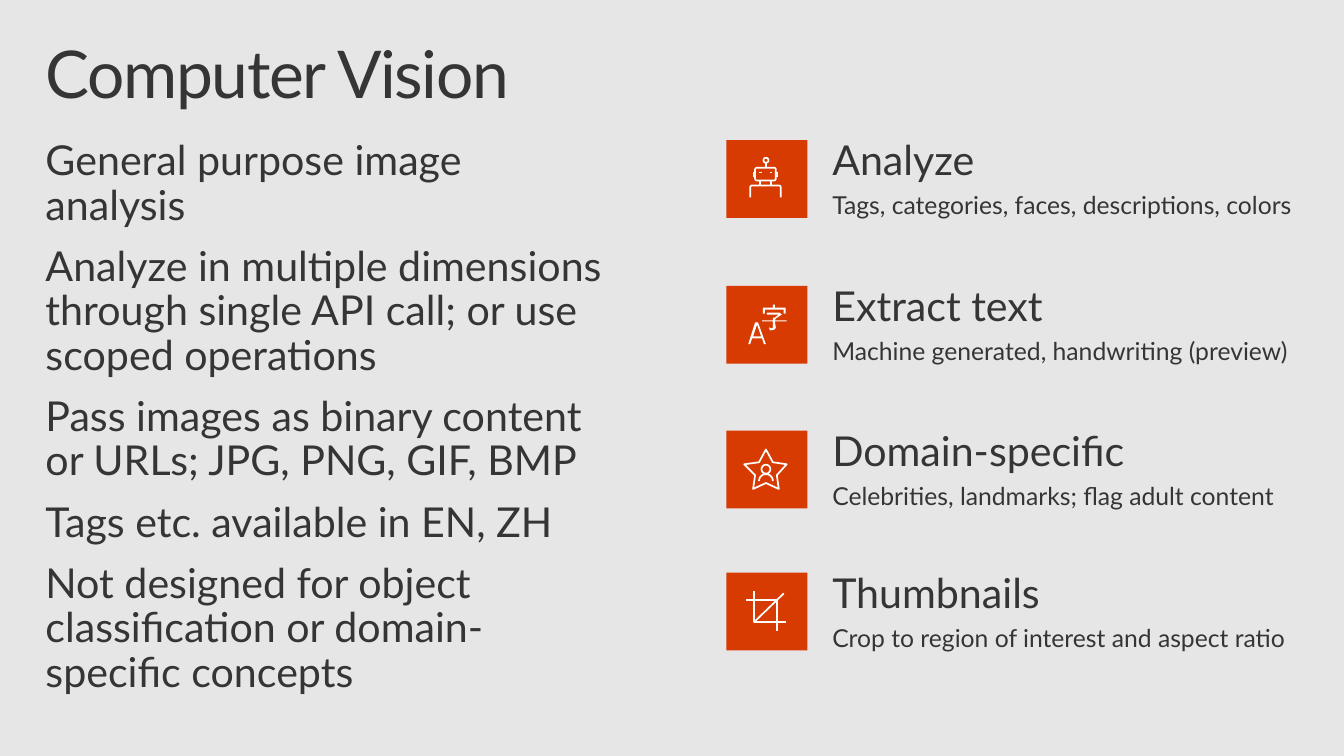
import math

import pptx
import pptx.dml.color
import pptx.enum.shapes
import pptx.util

Cm = pptx.util.Cm
Pt = pptx.util.Pt

INK = "353535"
ORANGE = "D83B01"
WHITE = "FFFFFF"
PAPER = "E6E6E6"

POINTS = [
    "General purpose image analysis",
    "Analyze in multiple dimensions through single API call; or use scoped operations",
    "Pass images as binary content or URLs; JPG, PNG, GIF, BMP",
    "Tags etc. available in EN, ZH",
    "Not designed for object classification or domain-specific concepts",
]


def color(value):
    return pptx.dml.color.RGBColor.from_string(value)


def arc(x, y, radius, start=0, end=360):
    """Points along an arc, with angles in degrees."""
    steps = 24
    angles = [math.radians(start + (end - start) * i / steps) for i in range(steps + 1)]
    return [(x + radius * math.cos(a), y + radius * math.sin(a)) for a in angles]


# Icon outlines, in hundredths of an inch from the corner of the tile.
ROBOT = [
    arc(40, 20.5, 2.5),
    arc(48, 30, 2, -90, 0) + arc(48, 39, 2, 0, 90)
    + arc(31, 39, 2, 90, 180) + arc(31, 30, 2, 180, 270) + [(48, 28)],
    [(24, 58)] + arc(26, 48, 2, 180, 270) + arc(53, 48, 2, -90, 0) + [(55, 58)],
    [(34, 41), (34, 46)],
    [(40, 23), (40, 28)],
    [(45, 41), (45, 46)],
    [(33, 33), (36, 33)],
    [(44, 33), (46, 33)],
    [(28, 32), (28, 37)],
    [(51, 32), (51, 37)],
]
LETTERS = [
    [(29, 37), (22, 59), (24, 59), (26, 53), (36, 53), (38, 59), (40, 59), (32, 37), (29, 37)],
    [(27, 51), (31, 39), (35, 51), (27, 51)],
    [(37, 28), (37, 22), (47, 22), (47, 19), (49, 19), (49, 22), (60, 22), (60, 28),
     (58, 28), (58, 24), (39, 24), (39, 28), (37, 28)],
    [(49, 36), (50, 42), (49, 44), (45, 45), (44, 45), (43, 42), (46, 43), (47, 42),
     (47, 36), (36, 36), (36, 35), (47, 35), (47, 32), (49, 32), (53, 29), (41, 29),
     (41, 27), (54, 27), (56, 29), (50, 33), (49, 35), (61, 35), (61, 36), (49, 36)],
]
STAR = [
    [(33, 32), (40, 19), (47, 32), (61, 34), (51, 45), (53, 59),
     (40, 53), (27, 59), (29, 45), (18, 34), (33, 32)],
    arc(40, 39, 4.5),
    arc(40, 51, 7, 180, 360),
]
CROP = [
    [(60, 50), (28, 50), (28, 19)],
    [(58, 21), (28, 50)],
    [(20, 28), (51, 28)],
    [(51, 59), (51, 28)],
]

# Top in centimetres, heading, detail, icon outlines, icon is filled
FEATURES = [
    (3.35, "Analyze", "Tags, categories, faces, descriptions, colors", ROBOT, False),
    (7.1, "Extract text", "Machine generated, handwriting (preview)", LETTERS, True),
    (10.82, "Domain-specific", "Celebrities, landmarks; flag adult content", STAR, False),
    (14.47, "Thumbnails", "Crop to region of interest and aspect ratio", CROP, False),
]


def add_text(page, left, top, width, height, lines):
    """Place a text box; each line is (text, size, space before)."""
    box = page.shapes.add_textbox(Cm(left), Cm(top), Cm(width), Cm(height))
    frame = box.text_frame
    frame.word_wrap = True
    frame.margin_left = frame.margin_right = Cm(0.41)
    frame.margin_top = frame.margin_bottom = Cm(0.25)
    for index, (text, size, before) in enumerate(lines):
        para = frame.paragraphs[0] if index == 0 else frame.add_paragraph()
        para.add_run().text = text
        para.line_spacing = 0.9
        para.space_before = Pt(before)
        para.font.name = "Lato"
        para.font.size = Pt(size)
        para.font.color.rgb = color(INK)
    return frame


def add_title(page, left, top, width, height):
    frame = add_text(page, left, top, width, height, [("Computer Vision", 48, 0)])
    span = frame.paragraphs[0].runs[0]
    span._r.get_or_add_rPr().set("spc", "-100")


def add_points(page, left, top, width, height):
    lines = [(text, 30, 12.2 if index else 0) for index, text in enumerate(POINTS)]
    add_text(page, left, top, width, height, lines)


def add_icon(page, left, top, outlines, filled):
    builder = None
    for outline in outlines:
        start, *rest = [(round(x * 10), round(y * 10)) for x, y in outline]
        if builder is None:
            builder = page.shapes.build_freeform(*start, scale=Cm(0.00254))
        else:
            builder.move_to(*start)
        builder.add_line_segments(rest, close=start == rest[-1])
    icon = builder.convert_to_shape(Cm(left), Cm(top))
    icon.shadow.inherit = False
    if filled:
        icon.fill.solid()
        icon.fill.fore_color.rgb = color(WHITE)
        icon.line.fill.background()
    else:
        icon.fill.background()
        icon.line.color.rgb = color(WHITE)
        icon.line.width = Pt(1.25)


def add_feature(page, left, top, width, height, heading, detail, outlines, filled):
    """Place an icon tile with a heading and a detail line beside it."""
    tile_top = top + 0.25
    tile = page.shapes.add_shape(
        pptx.enum.shapes.MSO_SHAPE.RECTANGLE, Cm(left), Cm(tile_top), Cm(2.08), Cm(2))
    tile.shadow.inherit = False
    tile.fill.solid()
    tile.fill.fore_color.rgb = color(ORANGE)
    tile.line.fill.background()
    add_icon(page, left, tile_top, outlines, filled)
    add_text(page, left + 2.31, top, width - 2.31, height,
             [(heading, 30, 0), (detail, 18, 6.2)])


def main():
    deck = pptx.Presentation()
    deck.slide_width, deck.slide_height = Cm(34.54), Cm(19.43)
    page = deck.slides.add_slide(deck.slide_layouts[6])
    page.background.fill.solid()
    page.background.fill.fore_color.rgb = color(PAPER)
    add_title(page, 0.76, 0.81, 33.02, 2.54)
    add_points(page, 0.76, 3.35, 15.24, 13.77)
    for top, *feature in FEATURES:
        add_feature(page, 18.67, top, 15.11, 2.57, *feature)
    deck.save("out.pptx")


if __name__ == "__main__":
    main()
